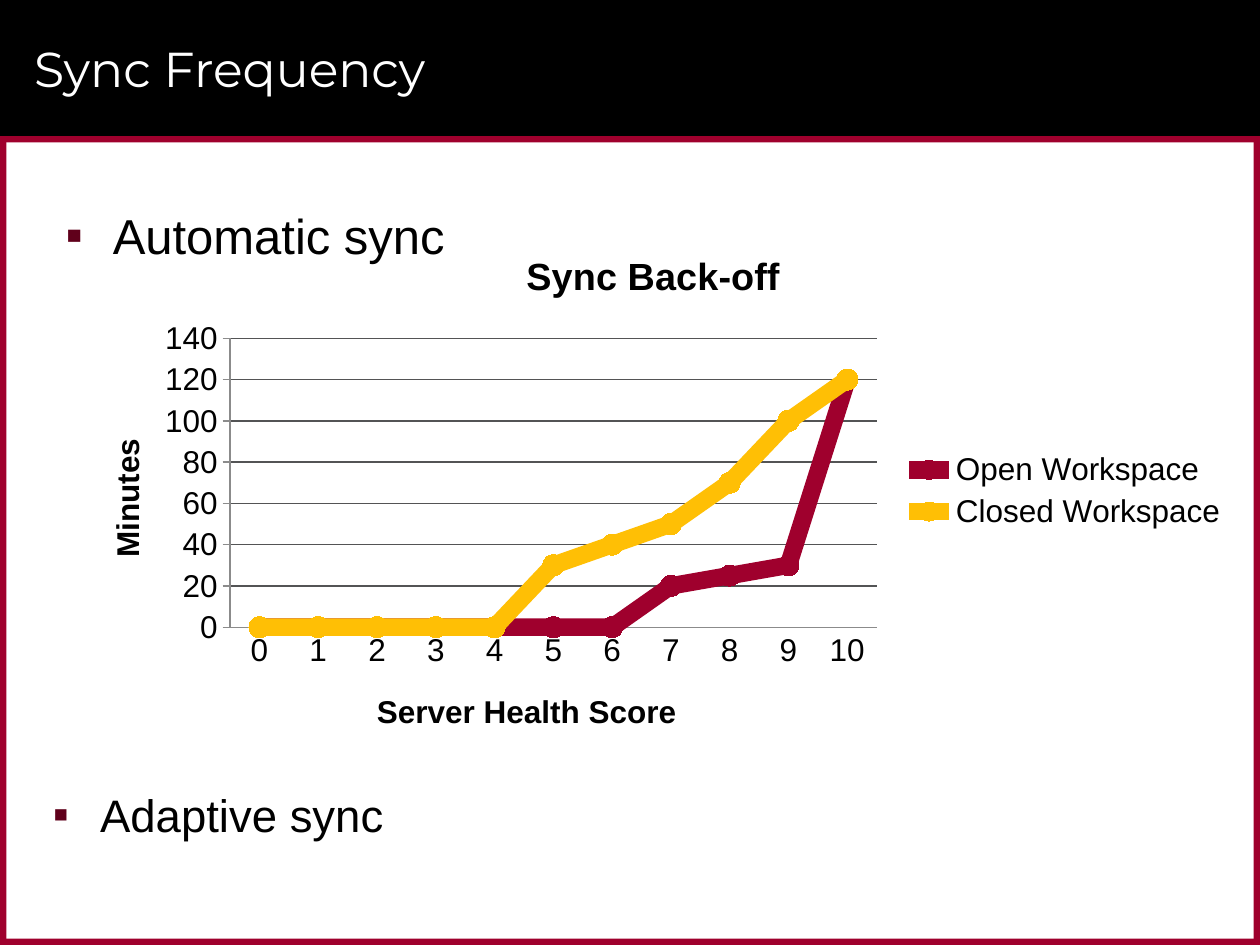
from dataclasses import dataclass

from lxml.etree import SubElement
from pptx import Presentation
from pptx.chart.data import CategoryChartData as ChartData
from pptx.dml.color import RGBColor as Color
from pptx.enum.chart import XL_CHART_TYPE as ChartType
from pptx.enum.chart import XL_LEGEND_POSITION as LegendPosition
from pptx.enum.chart import XL_MARKER_STYLE as MarkerStyle
from pptx.enum.chart import XL_TICK_MARK as TickMark
from pptx.enum.shapes import MSO_SHAPE as Preset
from pptx.enum.text import MSO_ANCHOR as Anchor
from pptx.enum.text import PP_ALIGN as Align
from pptx.oxml import parse_xml
from pptx.oxml.ns import nsdecls, qn
from pptx.util import Pt


@dataclass(frozen=True)
class Theme:
    black: str = "000000"
    white: str = "FFFFFF"
    crimson: str = "9F002D"
    amber: str = "FFBF05"
    bullet: str = "60001B"
    grid: str = "535455"
    axis: str = "8B8B8B"
    title_font: str = "Montserrat"
    body_font: str = "Arial"
    title_size: float = 28
    body_size: float = 28
    note_size: float = 26
    chart_size: float = 18
    chart_title_size: float = 21.6


@dataclass(frozen=True)
class Box:
    left: float
    top: float
    width: float
    height: float

    def lengths(self) -> tuple:
        return tuple(Pt(n) for n in (self.left, self.top, self.width, self.height))


@dataclass(frozen=True)
class Series:
    name: str
    values: tuple
    color: str


THEME = Theme()
WIDTH, HEIGHT = 720, 540
BAND, EDGE = 77.76, 3.6
SIDE = HEIGHT - BAND
FRAME = [
    (Box(0, 0, WIDTH, BAND), THEME.black),
    (Box(0, BAND, WIDTH, EDGE), THEME.crimson),
    (Box(0, HEIGHT - EDGE, WIDTH, EDGE), THEME.crimson),
    (Box(WIDTH - EDGE, BAND, EDGE, SIDE), THEME.crimson),
    (Box(0, BAND, EDGE, SIDE), THEME.crimson),
]
SERIES = [
    Series("Open Workspace", (0, 0, 0, 0, 0, 0, 0, 20, 25, 30, 120), THEME.crimson),
    Series("Closed Workspace", (0, 0, 0, 0, 0, 30, 40, 50, 70, 100, 120), THEME.amber),
]


def rgb(value: str) -> Color:
    return Color.from_string(value)


def style_font(font, name: str, size: float, color: str, bold: bool = False) -> None:
    font.name, font.size, font.bold = name, Pt(size), bold
    font.color.rgb = rgb(color)


def place(shape, box: Box) -> None:
    shape.left, shape.top, shape.width, shape.height = box.lengths()


def draw_frame(page) -> None:
    """Draw the header band and border behind the placeholders."""
    for position, (box, color) in enumerate(FRAME):
        shape = page.shapes.add_shape(Preset.RECTANGLE, *box.lengths())
        shape.shadow.inherit = False
        shape.fill.solid()
        shape.fill.fore_color.rgb = rgb(color)
        shape.line.fill.background()
        page.shapes._spTree.insert(2 + position, shape._element)


def write_bullet(frame, text: str, size: float, spacing: float = 1.0) -> None:
    frame.text = text
    frame.word_wrap = True
    para = frame.paragraphs[0]
    para.line_spacing = spacing
    para.space_before, para.space_after = Pt(0), Pt(2)
    properties = para._p.get_or_add_pPr()
    properties.set("marL", str(Pt(27)))
    properties.set("indent", str(-Pt(27)))
    color = SubElement(properties, qn("a:buClr"))
    SubElement(color, qn("a:srgbClr")).set("val", THEME.bullet)
    SubElement(properties, qn("a:buFont")).set("typeface", THEME.body_font)
    SubElement(properties, qn("a:buChar")).set("char", "▪")
    style_font(para.runs[0].font, THEME.body_font, size, THEME.black)


def set_layout(parent, before: str, **position: float) -> None:
    """Fix a chart part at fractions of the chart area, ahead of a sibling tag."""
    for old in parent.findall(qn("c:layout")):
        parent.remove(old)
    target = '<c:layoutTarget val="inner"/>' if "w" in position else ""
    modes = "".join(f'<c:{axis}Mode val="edge"/>' for axis in "xy")
    values = "".join(f'<c:{key} val="{value}"/>' for key, value in position.items())
    layout = parse_xml(
        f"<c:layout {nsdecls('c')}><c:manualLayout>{target}{modes}{values}"
        "</c:manualLayout></c:layout>"
    )
    parent.find(qn(before)).addprevious(layout)


def write_chart_title(owner, text: str, size: float) -> None:
    frame = owner.text_frame
    frame.text = text
    style_font(frame.paragraphs[0].runs[0].font, THEME.body_font, size, THEME.black, True)


def style_axis(axis, title: str, tick: TickMark, x: float, y: float) -> None:
    axis.major_tick_mark, axis.minor_tick_mark = tick, TickMark.NONE
    axis.format.line.color.rgb = rgb(THEME.axis)
    axis.format.line.width = Pt(0.75)
    write_chart_title(axis.axis_title, title, THEME.chart_size)
    set_layout(axis.axis_title._element, "c:overlay", x=x, y=y)


def draw_chart(page, box: Box) -> None:
    data = ChartData()
    data.categories = [str(score) for score in range(11)]
    for item in SERIES:
        data.add_series(item.name, item.values)
    chart = page.shapes.add_chart(ChartType.LINE_MARKERS, *box.lengths(), data).chart
    style_font(chart.font, THEME.body_font, THEME.chart_size, THEME.black)
    chart.has_title = True
    write_chart_title(chart.chart_title, "Sync Back-off", THEME.chart_title_size)
    chart.has_legend = True
    chart.legend.position = LegendPosition.RIGHT
    chart.legend.include_in_layout = False

    # Axes and gridlines
    style_axis(chart.category_axis, "Server Health Score", TickMark.NONE, 0.26, 0.87)
    values = chart.value_axis
    style_axis(values, "Minutes", TickMark.OUTSIDE, 0.03, 0.39)
    values.minimum_scale, values.maximum_scale, values.major_unit = 0, 140, 20
    values.major_gridlines.format.line.color.rgb = rgb(THEME.grid)
    values.major_gridlines.format.line.width = Pt(0.75)

    # Lines and markers
    plot = chart.plots[0]
    plot.vary_by_categories = False
    set_layout(plot._element.getparent(), "c:lineChart", x=0.14, y=0.21, w=0.55, h=0.55)
    for line, item in zip(plot.series, SERIES):
        line.smooth = False
        line.format.line.color.rgb = rgb(item.color)
        line.format.line.width = Pt(10)
        line.marker.style, line.marker.size = MarkerStyle.CIRCLE, 12
        line.marker.format.fill.solid()
        line.marker.format.fill.fore_color.rgb = rgb(item.color)
        line.marker.format.line.fill.background()


def main() -> None:
    deck = Presentation()
    deck.slide_width, deck.slide_height = Pt(WIDTH), Pt(HEIGHT)
    page = deck.slides.add_slide(deck.slide_layouts[1])
    draw_frame(page)

    # Title
    title = page.shapes.title
    place(title, Box(12.24, 5.76, 678.24, 66.24))
    title.text_frame.text = "Sync Frequency"
    title.text_frame.vertical_anchor = Anchor.MIDDLE
    para = title.text_frame.paragraphs[0]
    para.alignment = Align.LEFT
    style_font(para.runs[0].font, THEME.title_font, THEME.title_size, THEME.white)

    # Body, chart and closing bullet
    body = page.placeholders[1]
    place(body, Box(30.24, 113.76, 660.24, 408.24))
    write_bullet(body.text_frame, "Automatic sync", THEME.body_size)
    draw_chart(page, Box(37.44, 130.32, 671.76, 300.24))
    note = page.shapes.add_textbox(*Box(30.24, 455.76, 660.24, 25.2).lengths())
    frame = note.text_frame
    frame.margin_left = frame.margin_top = frame.margin_right = frame.margin_bottom = 0
    write_bullet(frame, "Adaptive sync", THEME.note_size, 0.8)

    deck.save("out.pptx")


if __name__ == "__main__":
    main()
